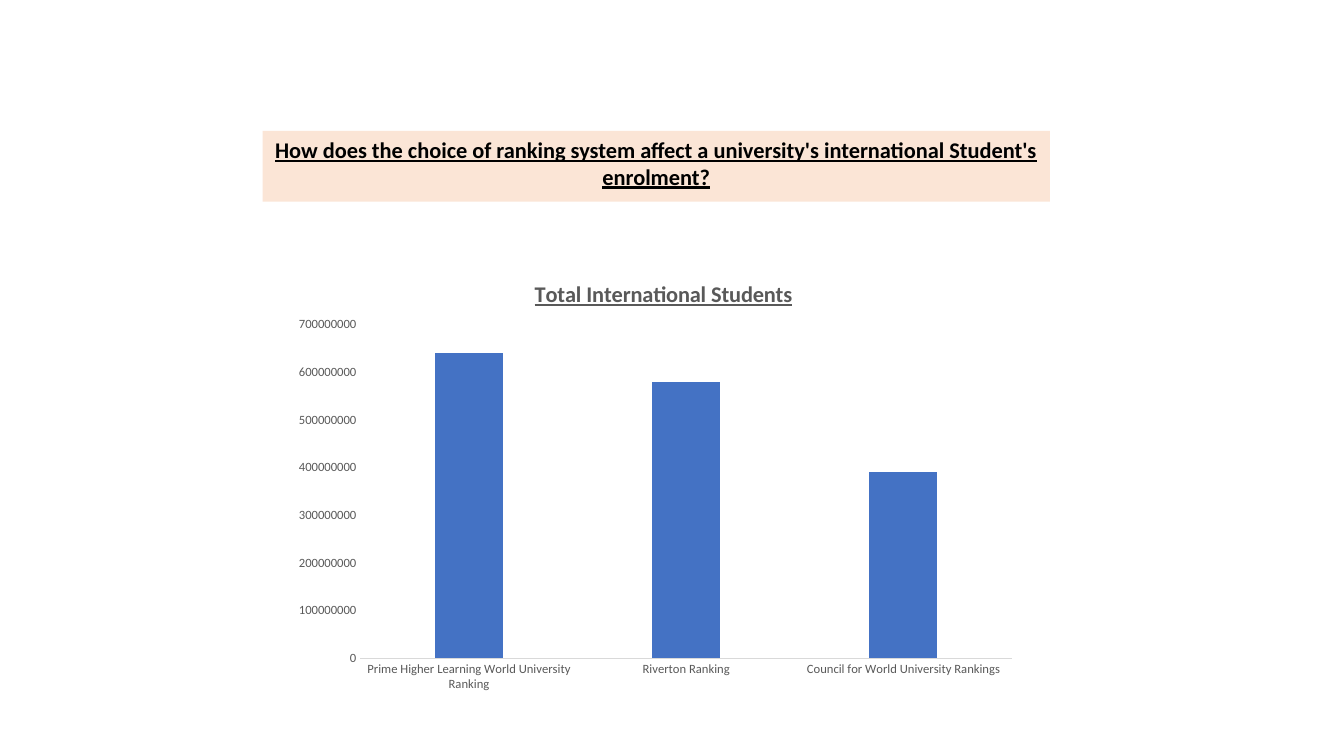
from pptx import Presentation
from pptx.chart.data import CategoryChartData
from pptx.dml.color import RGBColor
from pptx.enum import chart as ch, text
from pptx.oxml import parse_xml
from pptx.oxml.ns import nsdecls, qn
from pptx.util import Pt

PEACH = RGBColor(0xFB, 0xE5, 0xD6)
BLACK = RGBColor(0, 0, 0)
GREY = RGBColor(0x59, 0x59, 0x59)
AXIS_GREY = RGBColor(0xD9, 0xD9, 0xD9)
BLUE = RGBColor(0x44, 0x72, 0xC4)
FONT = "Calibri"

STUDENTS = {
    "Prime Higher Learning World University Ranking": 640000000,
    "Riverton Ranking": 580000000,
    "Council for World University Rankings": 390000000,
}


def set_font(font, size, color, heading=False):
    font.name, font.size = FONT, Pt(size)
    font.color.rgb = color
    font.bold = font.underline = heading


def set_layout(element, index, **fractions):
    """Place a chart part by fractions of the chart's size."""
    for old in element.findall(qn("c:layout")):
        element.remove(old)
    modes = '<c:xMode val="edge"/><c:yMode val="edge"/>'
    if "w" in fractions:
        modes = '<c:layoutTarget val="inner"/>' + modes
    places = "".join(f'<c:{key} val="{value}"/>' for key, value in fractions.items())
    element.insert(index, parse_xml(
        f'<c:layout {nsdecls("c")}><c:manualLayout>{modes}{places}'
        '</c:manualLayout></c:layout>'))


def add_question(slide, left, top, width, height):
    question = slide.shapes.title
    question.left, question.top = Pt(left), Pt(top)
    question.width, question.height = Pt(width), Pt(height)
    question.fill.solid()
    question.fill.fore_color.rgb = PEACH
    frame = question.text_frame
    frame.word_wrap = True
    frame.auto_size = text.MSO_AUTO_SIZE.NONE
    frame.vertical_anchor = text.MSO_ANCHOR.TOP
    frame.text = ("How does the choice of ranking system affect a university's "
                  "international Student's enrolment?")
    paragraph = frame.paragraphs[0]
    paragraph.alignment = text.PP_ALIGN.CENTER
    set_font(paragraph.font, 16, BLACK, heading=True)


def style_axis(axis):
    axis.has_major_gridlines = False
    axis.major_tick_mark = axis.minor_tick_mark = ch.XL_TICK_MARK.NONE
    set_font(axis.tick_labels.font, 9, GREY)


def add_students_chart(slide, left, top, width, height):
    data = CategoryChartData(number_format="0")
    data.categories = list(STUDENTS)
    data.add_series("Total International Students", list(STUDENTS.values()))
    chart = slide.shapes.add_chart(
        ch.XL_CHART_TYPE.COLUMN_CLUSTERED,
        Pt(left), Pt(top), Pt(width), Pt(height), data).chart
    set_font(chart.font, 10, BLACK)
    chart.has_legend = False

    chart.has_title = True
    heading = chart.chart_title.text_frame
    heading.text = "Total International Students"
    set_font(heading.paragraphs[0].font, 16, GREY, heading=True)
    chart.chart_title.include_in_layout = False

    bars = chart.plots[0]
    bars.vary_by_categories = False
    bars.gap_width, bars.overlap = 219, -27
    bars.series[0].format.fill.solid()
    bars.series[0].format.fill.fore_color.rgb = BLUE

    style_axis(chart.category_axis)
    chart.category_axis.format.line.color.rgb = AXIS_GREY
    chart.category_axis.format.line.width = Pt(0.75)
    style_axis(chart.value_axis)
    chart.value_axis.format.line.fill.background()
    chart.value_axis.minimum_scale = 0
    chart.value_axis.maximum_scale = 700000000
    chart.value_axis.major_unit = 100000000

    plot_area = next(chart.element.iter(qn("c:plotArea")))
    set_layout(plot_area, 0, x=0.1, y=0.16, w=0.88, h=0.74)
    set_layout(next(chart.element.iter(qn("c:title"))), 1, x=0.33, y=0.05)


def main():
    prs = Presentation()
    prs.slide_width, prs.slide_height = Pt(960), Pt(540)
    slide = prs.slides.add_slide(prs.slide_layouts[5])
    add_question(slide, 187.5, 93.5, 562.5, 50.5)
    add_students_chart(slide, 204.5, 180.5, 529, 322)
    prs.save("out.pptx")


if __name__ == "__main__":
    main()
